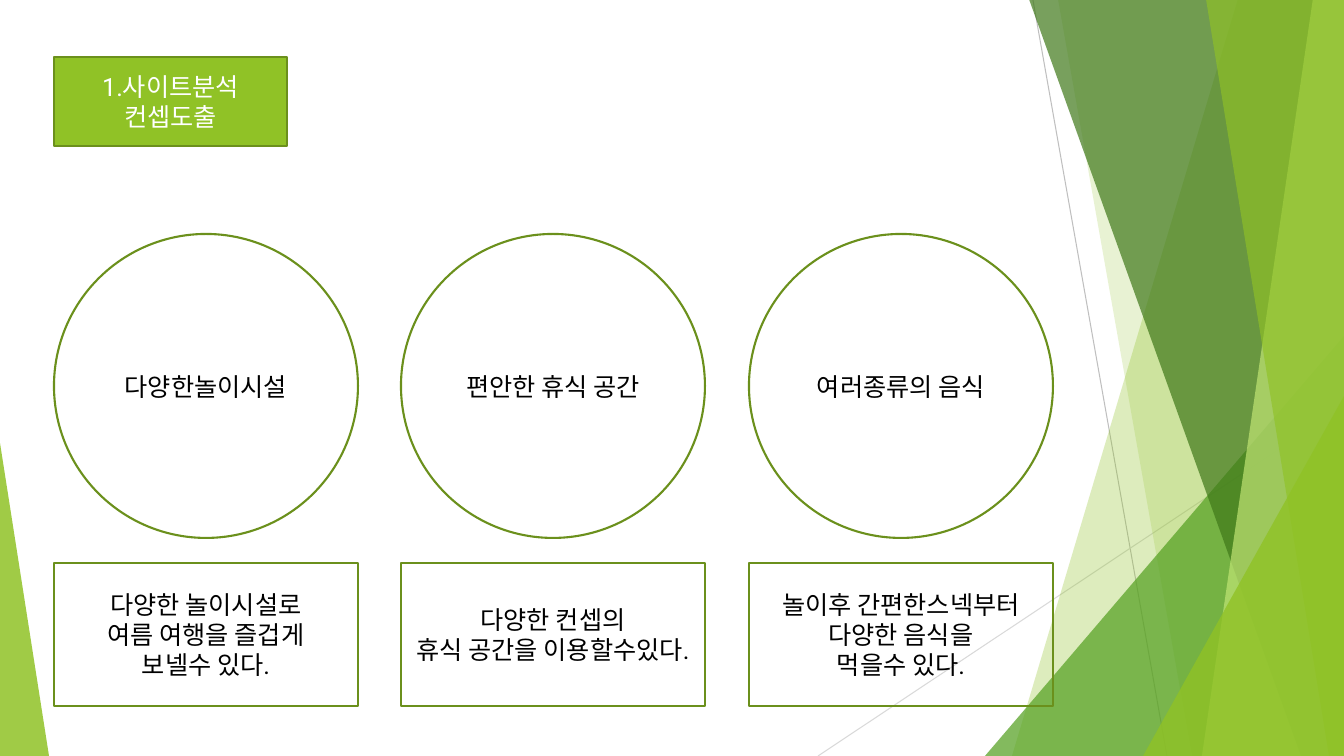
"""Builds the site analysis slide: a title box and three concepts over green facets."""
from lxml import etree
from pptx import Presentation
from pptx import util as u
from pptx.dml.color import RGBColor
from pptx.enum import shapes, text
from pptx.oxml.ns import qn

PX = 914400 / 100.8
WIDTH, HEIGHT = 1344, 756
GREEN, EDGE = "90C226", "6B901C"


def paint(shape, fill=None, opacity=100, line=None):
    shape.shadow.inherit = False
    if fill:
        shape.fill.solid()
        shape.fill.fore_color.rgb = RGBColor.from_string(fill)
        if opacity < 100:
            color = shape.fill._xPr.find(qn("a:solidFill"))[0]
            etree.SubElement(color, qn("a:alpha"), val=str(opacity * 1000))
    else:
        shape.fill.background()
    if line:
        shape.line.color.rgb = RGBColor.from_string(line)
        shape.line.width = u.Pt(1.5)
    else:
        shape.line.fill.background()


def write(shape, words, color="000000", size=18, font="Roboto"):
    frame = shape.text_frame
    frame.text = words
    frame.word_wrap = True
    frame.auto_size = text.MSO_AUTO_SIZE.NONE
    frame.vertical_anchor = text.MSO_ANCHOR.MIDDLE
    for paragraph in frame.paragraphs:
        paragraph.alignment = text.PP_ALIGN.CENTER
        for run in paragraph.runs:
            run.font.name = font
            run.font.size = u.Pt(size)
            run.font.color.rgb = RGBColor.from_string(color)


deck = Presentation()
deck.slide_width, deck.slide_height = round(WIDTH * PX), round(HEIGHT * PX)
slide = deck.slides.add_slide(deck.slide_layouts[5])
parts = slide.shapes

rays = [((1033, 0, 1167, HEIGHT), "BFBFBF"), ((WIDTH, 406, 818, HEIGHT), "D9D9D9")]
for ends, color in rays:
    ray = parts.add_connector(shapes.MSO_CONNECTOR.STRAIGHT, *[round(v * PX) for v in ends])
    ray.line.color.rgb = RGBColor.from_string(color)
    ray.line.width = u.Pt(0.75)
    etree.SubElement(ray._element.spPr, qn("a:effectLst"))

facets = [
    ("band", (1238, 1012), GREEN, 30),
    ("band", (1058, 1192), GREEN, 20),
    ("triangle", (985, 336, 359, 1), "54A021", 72),
    ("band", (1029, 1301), "3F7819", 70),
    ("band", (1313, 1202), "C0E474", 70),
    ("band", (1206, 1329), GREEN, 65),
    ("triangle", (1143, 396, 201, 1), GREEN, 80),
    ("triangle", (0, 443, 49, 0), GREEN, 85),
]
for kind, place, color, opacity in facets:
    if kind == "band":
        top_x, bottom_x = place
        outline = parts.build_freeform(top_x, -1, scale=PX)
        outline.add_line_segments([(WIDTH, -1), (WIDTH, HEIGHT), (bottom_x, HEIGHT)])
        facet = outline.convert_to_shape()
    else:
        left, top, width, apex = place
        box = [round(v * PX) for v in (left, top, width, HEIGHT - top)]
        facet = parts.add_shape(shapes.MSO_SHAPE.ISOSCELES_TRIANGLE, *box)
        facet.adjustments[0] = apex
    paint(facet, color, opacity)

title = parts.title
title.left, title.top, title.width, title.height = [round(v * PX) for v in (54, 57, 233, 89)]
paint(title, GREEN, line=EDGE)
write(title, "1.사이트분석\v컨셉도출", color="FFFFFF")

concepts = [
    ("다양한놀이시설", "다양한 놀이시설로\n여름 여행을 즐겁게\n보넬수 있다."),
    ("편안한 휴식 공간", "다양한 컨셉의\n휴식 공간을 이용할수있다."),
    ("여러종류의 음식", "놀이후 간편한스넥부터\n다양한 음식을\n먹을수 있다."),
]
rows = [(shapes.MSO_SHAPE.OVAL, 234, 304), (shapes.MSO_SHAPE.RECTANGLE, 563, 143)]
for row, (preset, top, height) in enumerate(rows):
    for column, concept in enumerate(concepts):
        left = 54 + column * 695 // 2
        frame = parts.add_shape(preset, *[round(v * PX) for v in (left, top, 304, height)])
        paint(frame, line=EDGE)
        write(frame, concept[row])

deck.save("out.pptx")
